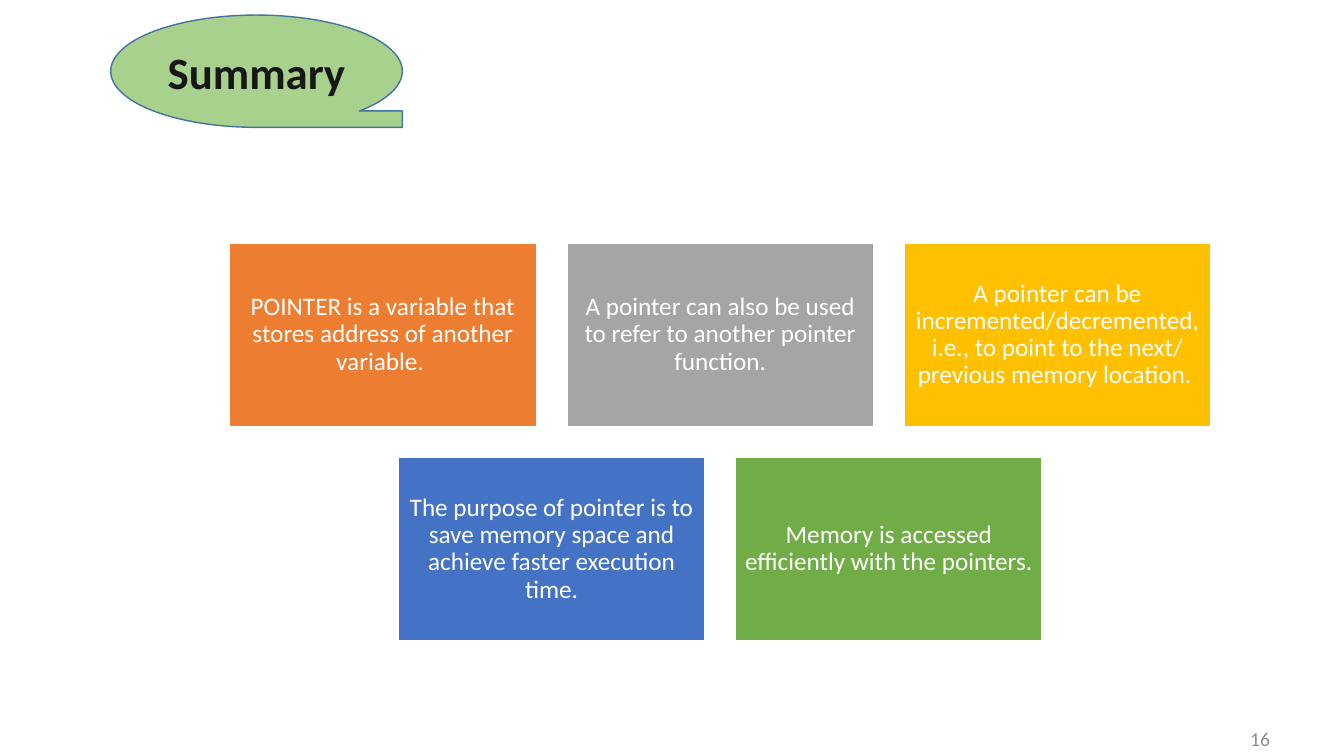
from dataclasses import dataclass

from pptx import Presentation
from pptx import util as u
from pptx.dml import color
from pptx.enum import shapes, text


@dataclass
class Card:
    words: str
    fill: str


ROWS = [
    [
        Card("POINTER is a variable that stores address of another variable. ", "ED7D31"),
        Card("A pointer can also be used to refer to another pointer function.", "A5A5A5"),
        Card("A pointer can be incremented/decremented, i.e., to point to the next/ "
             "previous memory location. ", "FFC000"),
    ],
    [
        Card("The purpose of pointer is to save memory space and achieve faster "
             "execution time.", "4472C4"),
        Card("Memory is accessed efficiently with the pointers.", "70AD47"),
    ],
]
WIDE, HIGH, GAP = 7.73, 4.63, 0.77
MID, TOP = 18.15, 6.12


def paint(form, hue: str) -> None:
    form.rgb = color.RGBColor.from_string(hue)


def shade(shape, fill: str, line: str) -> None:
    shape.shadow.inherit = False
    shape.fill.solid()
    paint(shape.fill.fore_color, fill)
    paint(shape.line.color, line)
    shape.line.width = u.Pt(1)


def write(shape, words: str, size: int, hue: str,
          align=text.PP_ALIGN.CENTER, bold: bool = False):
    frame = shape.text_frame
    frame.text = words
    frame.word_wrap = True
    frame.auto_size = text.MSO_AUTO_SIZE.NONE
    frame.vertical_anchor = text.MSO_ANCHOR.MIDDLE
    para = frame.paragraphs[0]
    para.alignment = align
    for run in para.runs:
        run.font.name = "Calibri"
        run.font.size = u.Pt(size)
        run.font.bold = bold
        paint(run.font.color, hue)
    return frame


def draw_card(slide, card: Card, left: float, top: float) -> None:
    box = slide.shapes.add_shape(shapes.MSO_SHAPE.RECTANGLE,
                                 u.Cm(left), u.Cm(top), u.Cm(WIDE), u.Cm(HIGH))
    shade(box, card.fill, "FFFFFF")
    frame = write(box, card.words, 18, "FFFFFF")
    frame.paragraphs[0].line_spacing = 0.9
    frame.margin_left = frame.margin_right = u.Cm(0.18)
    frame.margin_top = frame.margin_bottom = u.Cm(0.18)


def draw_title(slide) -> None:
    area = u.Cm(2.79), u.Cm(0.38), u.Cm(7.35), u.Cm(2.83)
    tape = slide.shapes.add_shape(shapes.MSO_SHAPE.FLOWCHART_SEQUENTIAL_ACCESS_STORAGE, *area)
    shade(tape, "A9D18E", "43739E")
    title = slide.shapes.title
    title.left, title.top, title.width, title.height = area
    write(title, "Summary", 32, "181717", bold=True)
    tape.element.addnext(title.element)


def main() -> None:
    deck = Presentation()
    deck.slide_width, deck.slide_height = u.Cm(33.87), u.Cm(19.05)
    slide = deck.slides.add_slide(deck.slide_layouts[5])
    page = slide.shapes.add_textbox(u.Cm(26.57), u.Cm(18.54), u.Cm(5.69), u.Cm(0.13))
    write(page, "16", 14, "8C8C8C", text.PP_ALIGN.RIGHT)
    draw_title(slide)
    for r, row in enumerate(ROWS):
        start = MID - (len(row) * (WIDE + GAP) - GAP) / 2
        for c, card in enumerate(row):
            draw_card(slide, card, start + c * (WIDE + GAP), TOP + r * (HIGH + GAP))
    deck.save("out.pptx")


if __name__ == "__main__":
    main()
